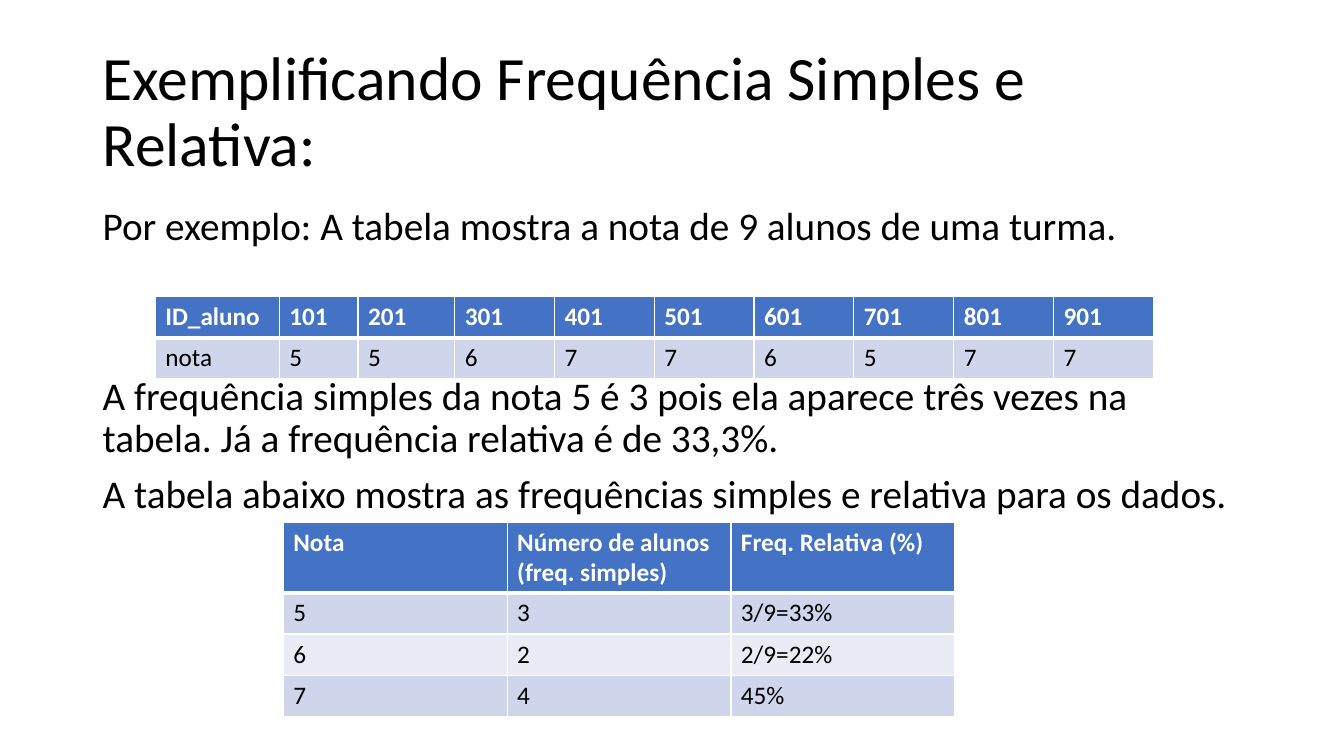
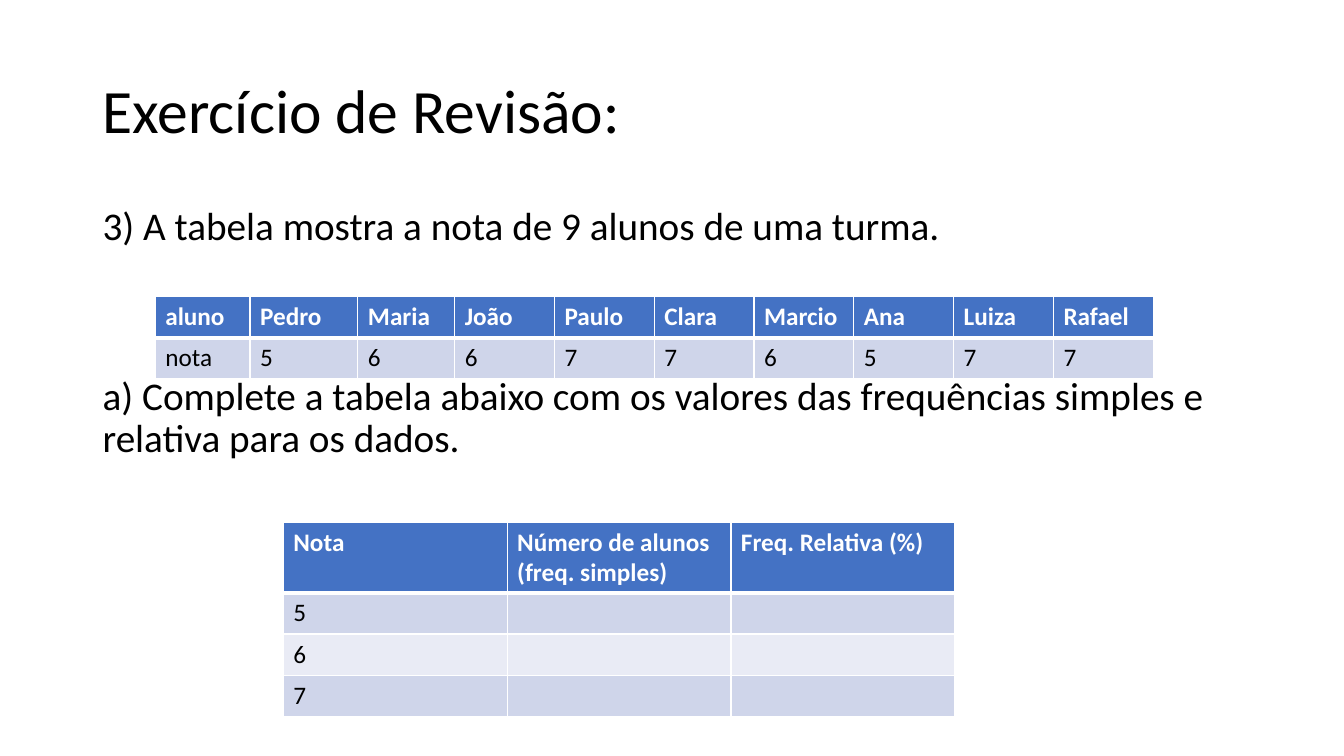
from dataclasses import dataclass
from typing import NamedTuple

from lxml.etree import SubElement as Sub
from pptx import Presentation
from pptx.dml.color import RGBColor as Rgb
from pptx.enum.text import MSO_ANCHOR as Anchor
from pptx.oxml.ns import qn
from pptx.util import Inches, Pt


@dataclass(frozen=True)
class Theme:
    font: str = "Calibri"
    ink: str = "000000"
    white: str = "FFFFFF"
    head: str = "4472C4"
    bands: tuple[str, str] = ("CFD5EA", "E9EBF5")
    title: int = 44
    body: int = 28
    cell: int = 18
    thin: int = 1
    thick: int = 3


class Box(NamedTuple):
    left: float
    top: float
    width: float
    height: float


@dataclass(frozen=True)
class Grid:
    left: float
    top: float
    cols: list[float]
    high: float
    rows: list[list[str]]


@dataclass(frozen=True)
class Page:
    title: str
    lines: list[str]
    grids: list[Grid]


THEME = Theme()
TITLE = Box(0.92, 0.4, 11.5, 1.45)
BODY = Box(0.92, 2, 11.5, 5.34)
ROW = 0.41
GAP = 10
BREAK = 91


def marks(cols: list[float], rows: list[list[str]]) -> Grid:
    return Grid(1.54, 2.94, cols + [0.99] * 7, ROW, rows)


def counts(rows: list[list[str]]) -> Grid:
    head = ["Nota", "Número de alunos (freq. simples)", "Freq. Relativa (%)"]
    return Grid(2.81, 5.18, [2.22] * 3, 0.7, [head] + rows)


PAGES = [
    Page(
        "Exemplificando Frequência Simples e Relativa:",
        [
            "Por exemplo: A tabela mostra a nota de 9 alunos de uma turma.",
            "A frequência simples da nota 5 é 3 pois ela aparece três vezes na "
            "tabela. Já a frequência relativa é de 33,3%.",
            "A tabela abaixo mostra as frequências simples e relativa para os dados.",
        ],
        [
            counts([["5", "3", "3/9=33%"], ["6", "2", "2/9=22%"], ["7", "4", "45%"]]),
            marks(
                [1.23, 0.78, 0.96],
                [
                    ["ID_aluno"] + [f"{n}01" for n in range(1, 10)],
                    ["nota", *"556776577"],
                ],
            ),
        ],
    ),
    Page(
        "Exercício de Revisão:",
        [
            "3) A tabela mostra a nota de 9 alunos de uma turma.",
            "a) Complete a tabela abaixo com os valores das frequências simples e "
            "relativa para os dados.",
        ],
        [
            counts([[mark, "", ""] for mark in "567"]),
            marks(
                [0.94, 1.07, 0.96],
                [
                    ["aluno", "Pedro", "Maria", "João", "Paulo", "Clara",
                     "Marcio", "Ana", "Luiza", "Rafael"],
                    ["nota", *"566776577"],
                ],
            ),
        ],
    ),
]


def style(para, size: int, color: str, bold: bool = False) -> None:
    for run in para.runs:
        font = run.font
        font.name, font.size, font.bold = THEME.font, Pt(size), bold
        font.color.rgb = Rgb.from_string(color)


def write(slide, box: Box, lines: list[str], size: int, anchor: Anchor) -> None:
    frame = slide.shapes.add_textbox(*map(Inches, box)).text_frame
    frame.word_wrap = True
    frame.vertical_anchor = anchor
    frame.text = "\n".join(lines)
    for i, para in enumerate(frame.paragraphs):
        para.line_spacing = 0.9
        para.space_before = Pt((0, BREAK, GAP)[min(i, 2)])
        style(para, size, THEME.ink)


def edge(cell, side: str, width: int) -> None:
    props = cell._tc.get_or_add_tcPr()
    line = Sub(props, qn(f"a:ln{side}"), w=str(Pt(width)))
    fill = Sub(line, qn("a:solidFill"))
    Sub(fill, qn("a:srgbClr"), val=THEME.white)


def draw(slide, grid: Grid) -> None:
    highs = [grid.high] + [ROW] * (len(grid.rows) - 1)
    box = Box(grid.left, grid.top, sum(grid.cols), sum(highs))
    table = slide.shapes.add_table(
        len(highs), len(grid.cols), *map(Inches, box)
    ).table
    for col, width in zip(table.columns, grid.cols):
        col.width = Inches(width)
    for r, (row, high) in enumerate(zip(table.rows, highs)):
        row.height = Inches(high)
        head = r == 0
        for cell, text in zip(row.cells, grid.rows[r]):
            cell.text = text
            style(
                cell.text_frame.paragraphs[0],
                THEME.cell,
                THEME.white if head else THEME.ink,
                head,
            )
            for side in "LRTB":
                wide = (r, side) in ((0, "B"), (1, "T"))
                edge(cell, side, THEME.thick if wide else THEME.thin)
            cell.fill.solid()
            tone = THEME.head if head else THEME.bands[(r - 1) % 2]
            cell.fill.fore_color.rgb = Rgb.from_string(tone)


def main() -> None:
    deck = Presentation()
    deck.slide_width, deck.slide_height = Inches(13.33), Inches(7.5)
    for page in PAGES:
        slide = deck.slides.add_slide(deck.slide_layouts[6])
        write(slide, TITLE, [page.title], THEME.title, Anchor.MIDDLE)
        write(slide, BODY, page.lines, THEME.body, Anchor.TOP)
        for grid in page.grids:
            draw(slide, grid)
    deck.save("out.pptx")


if __name__ == "__main__":
    main()
